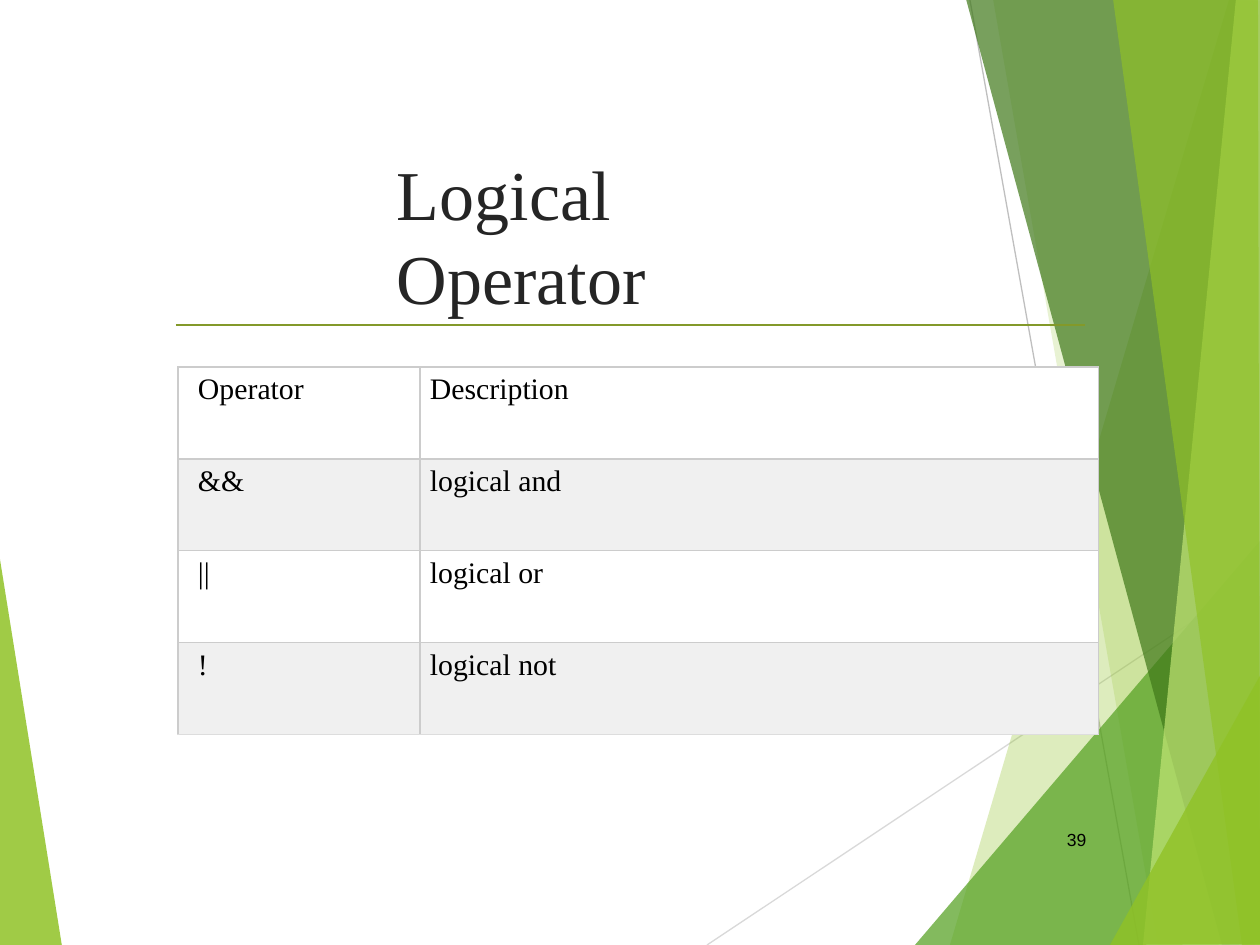
from lxml.etree import SubElement
from pptx import Presentation
from pptx.dml.color import RGBColor as RGB
from pptx.enum.shapes import MSO_CONNECTOR as CONN
from pptx.enum.text import MSO_ANCHOR as ANCHOR, MSO_AUTO_SIZE as AUTO, PP_ALIGN as ALIGN
from pptx.oxml.ns import qn
from pptx.util import Pt

PX = 914400 / 126
LIME = RGB(0x90, 0xC2, 0x26)
PALE_LIME = RGB(0xC0, 0xE4, 0x74)
GREEN = RGB(0x54, 0xA0, 0x21)
DARK_GREEN = RGB(0x3F, 0x78, 0x19)
OLIVE = RGB(0x83, 0x99, 0x2A)
INK = RGB(0x25, 0x25, 0x25)
BLACK = RGB(0, 0, 0)
WHITE = RGB(255, 255, 255)
BAND = RGB(0xF0, 0xF0, 0xF0)
BORDER = RGB(0xCC, 0xCC, 0xCC)
LAST_BORDER = RGB(0xDD, 0xDD, 0xDD)
GREY = RGB(0xBF, 0xBF, 0xBF)
LIGHT_GREY = RGB(0xD9, 0xD9, 0xD9)

FACETS = [
    ([(-1, 553), (62, 946), (-1, 945)], LIME, 85),
    ([(1229, 0), (950, 945), (1262, 946), (1261, 1)], LIME, 30),
    ([(993, -1), (1158, 945), (1261, 945), (1261, -1)], LIME, 20),
    ([(915, 945), (1260, 541), (1261, 945)], GREEN, 72),
    ([(966, -1), (1222, 945), (1261, 944), (1261, -1)], DARK_GREEN, 70),
    ([(1236, -1), (1143, 945), (1261, 945), (1260, -1)], PALE_LIME, 70),
    ([(1113, -1), (1242, 945), (1260, 945), (1258, -1)], LIME, 65),
    ([(1110, 945), (1261, 674), (1261, 944)], LIME, 80),
]
ROWS = [
    ("Operator", "Description"),
    ("&&", "logical and"),
    ("||", "logical or"),
    ("!", "logical not"),
]


def emu(*lengths):
    return [round(n * PX) for n in lengths]


class Deck:
    """Holds the text styles and the current slide, and draws each kind of element."""

    styles = {
        "title": {"name": "Times New Roman", "size": Pt(40), "color": INK},
        "cell": {"name": "Times New Roman", "size": Pt(17), "color": BLACK},
        "number": {"name": "Arial", "size": Pt(10), "color": BLACK},
    }

    def __init__(self, prs):
        self.s = prs.slides.add_slide(prs.slide_layouts[5])

    def add_run(self, tf, text, style):
        p = tf.paragraphs[0]
        p.alignment = ALIGN.LEFT
        r = p.add_run()
        r.text = text
        for key, value in self.styles[style].items():
            if key == "color":
                r.font.color.rgb = value
            else:
                setattr(r.font, key, value)
        return p

    def frame(self, sp, text, style, top=1):
        tf = sp.text_frame
        left, top, zero = emu(1, top, 0)
        props = {"margin_left": left, "margin_top": top, "margin_right": zero,
                 "margin_bottom": zero, "word_wrap": True,
                 "vertical_anchor": ANCHOR.TOP, "auto_size": AUTO.SHAPE_TO_FIT_TEXT}
        for key, value in props.items():
            setattr(tf, key, value)
        return self.add_run(tf, text, style)

    def title(self, text, x, y, w, h):
        sp = self.s.shapes.title
        sp.left, sp.top, sp.width, sp.height = emu(x, y, w, h)
        self.frame(sp, text, "title", top=6).line_spacing = Pt(48)

    def text(self, text, style, x, y, w, h):
        self.frame(self.s.shapes.add_textbox(*emu(x, y, w, h)), text, style)

    def facet(self, points, color, alpha):
        fb = self.s.shapes.build_freeform(*points[0], scale=PX)
        fb.add_line_segments(points[1:], close=True)
        sp = fb.convert_to_shape()
        sp.shadow.inherit = False
        sp.line.fill.background()
        sp.fill.solid()
        sp.fill.fore_color.rgb = color
        clr = sp._element.spPr.find(".//" + qn("a:srgbClr"))
        SubElement(clr, qn("a:alpha"), val=str(alpha * 1000))

    def line(self, x1, y1, x2, y2, color, width):
        sp = self.s.shapes.add_connector(CONN.STRAIGHT, *emu(x1, y1, x2, y2))
        sp.line.color.rgb = color
        sp.line.width = Pt(width)
        SubElement(sp._element.spPr, qn("a:effectLst"))

    def border(self, cell, side, color):
        tcPr = cell._tc.get_or_add_tcPr()
        ln = SubElement(tcPr, qn("a:ln" + side), w=str(int(Pt(0.75))))
        SubElement(SubElement(ln, qn("a:solidFill")), qn("a:srgbClr"), val=str(color))

    def table(self, rows, x, y, widths, row_h, indents):
        size = emu(x, y, sum(widths), row_h * len(rows))
        tbl = self.s.shapes.add_table(len(rows), len(widths), *size).table
        tbl.first_row = tbl.horz_banding = False
        for col, w in zip(tbl.columns, emu(*widths)):
            col.width = w
        for i, row in enumerate(rows):
            tbl.rows[i].height = emu(row_h)[0]
            for j, text in enumerate(row):
                cell = tbl.cell(i, j)
                cell.margin_left, cell.margin_top = emu(indents[j], 6)
                cell.margin_right = cell.margin_bottom = 0
                for side in "LRTB":
                    last = side == "B" and i == len(rows) - 1
                    self.border(cell, side, LAST_BORDER if last else BORDER)
                cell.fill.solid()
                cell.fill.fore_color.rgb = BAND if i % 2 else WHITE
                self.add_run(cell.text_frame, text, "cell")


def main():
    prs = Presentation()
    prs.slide_width, prs.slide_height = emu(1260, 945)
    deck = Deck(prs)
    deck.facet(*FACETS[0])
    deck.line(707, 945, 1261, 576, LIGHT_GREY, 0.75)
    deck.line(970, 0, 1139, 945, GREY, 0.75)
    for facet in FACETS[1:]:
        deck.facet(*facet)
    deck.line(176, 325, 1085, 325, OLIVE, 1.2)
    deck.title("Logical Operator", 396, 145, 469, 88)
    deck.table(ROWS, 178, 367, [242, 679], 92, [20, 10])
    deck.text("39", "number", 1066, 828, 23, 25)
    prs.save("out.pptx")


if __name__ == "__main__":
    main()
